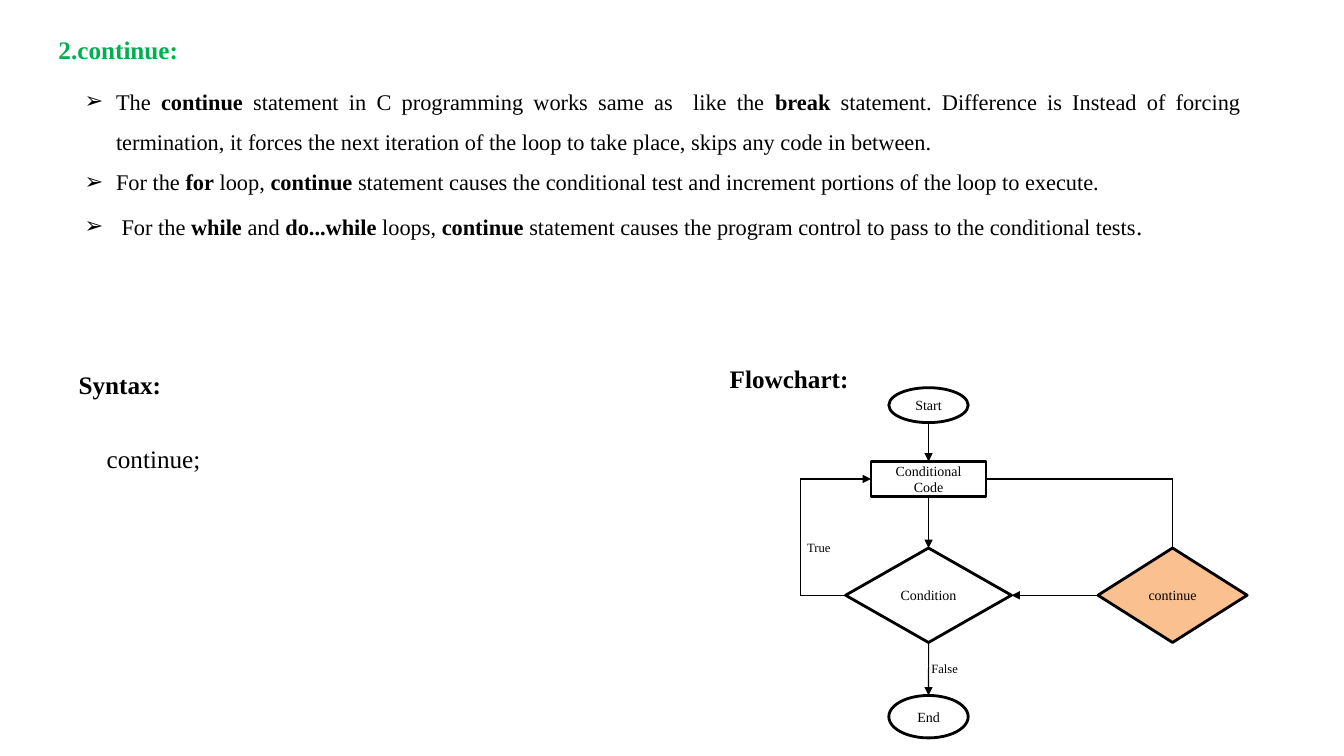
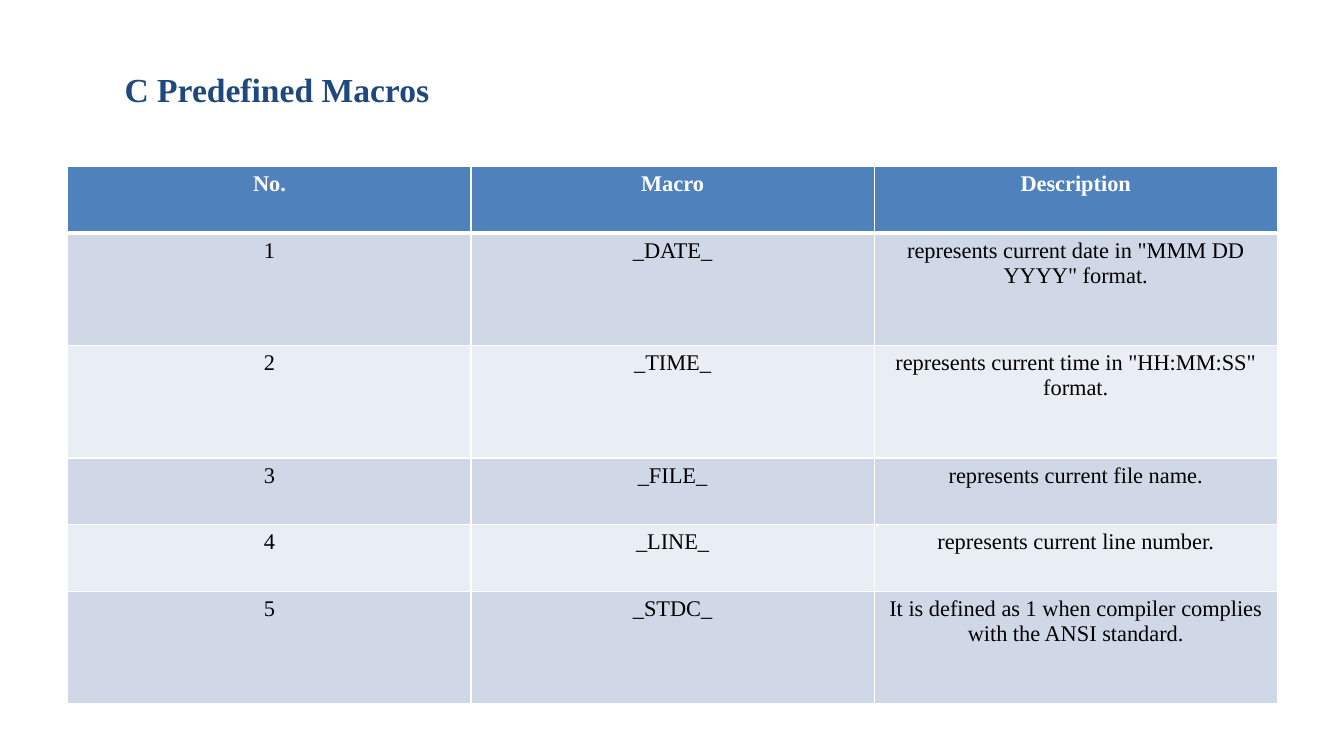
from lxml.etree import SubElement
from pptx import Presentation
from pptx.dml.color import RGBColor
from pptx.enum.shapes import MSO_CONNECTOR, MSO_SHAPE
from pptx.enum.text import MSO_ANCHOR, MSO_AUTO_SIZE, PP_ALIGN
from pptx.oxml.ns import qn
from pptx.shapes.autoshape import Shape
from pptx.util import Cm, Pt

BLACK = RGBColor(0x00, 0x00, 0x00)
WHITE = RGBColor(0xFF, 0xFF, 0xFF)
GREEN = RGBColor(0x00, 0xB0, 0x50)
NAVY = RGBColor(0x1F, 0x49, 0x7D)
ORANGE = RGBColor(0xFA, 0xC0, 0x90)
HEADER_BLUE = RGBColor(0x4F, 0x81, 0xBD)
BANDS = (RGBColor(0xD0, 0xD8, 0xE8), RGBColor(0xE9, 0xED, 0xF4))

TITLE_AND_CONTENT, TITLE_ONLY = 1, 5
TOP, LEFT, BOTTOM, RIGHT = range(4)


class Deck:
    """Holds the presentation, its text style and the current slide."""

    font_name = "Times New Roman"

    def __init__(self):
        self.presentation = Presentation()
        self.presentation.slide_width = Cm(33.87)
        self.presentation.slide_height = Cm(19.05)
        self.slide = None

    def new_slide(self, layout):
        layouts = self.presentation.slide_layouts
        self.slide = self.presentation.slides.add_slide(layouts[layout])

    def add_run(self, paragraph, text, size, color=BLACK, bold=False):
        run = paragraph.add_run()
        run.text = text
        run.font.name = self.font_name
        run.font.size = Pt(size)
        run.font.bold = bold
        run.font.color.rgb = color

    def place(self, shape, left, top, width, height, anchor=MSO_ANCHOR.TOP):
        shape.left, shape.top = Cm(left), Cm(top)
        shape.width, shape.height = Cm(width), Cm(height)
        frame = shape.text_frame
        frame.word_wrap = True
        frame.auto_size = MSO_AUTO_SIZE.NONE
        frame.vertical_anchor = anchor
        return frame

    def title(self, text, box, size, color, align=PP_ALIGN.LEFT,
              anchor=MSO_ANCHOR.TOP):
        frame = self.place(self.slide.shapes.title, *box, anchor)
        paragraph = frame.paragraphs[0]
        paragraph.alignment = align
        self.add_run(paragraph, text, size, color, bold=True)

    def bullets(self, items, box, size, indent=0.79):
        """Each item is a list of runs: (text, bold) or (text, bold, size)."""
        frame = self.place(self.slide.placeholders[1], *box)
        for index, runs in enumerate(items):
            paragraph = frame.add_paragraph() if index else frame.paragraphs[0]
            properties = paragraph._p.get_or_add_pPr()
            properties.set("marL", str(Cm(indent)))
            properties.set("indent", str(-Cm(indent)))
            SubElement(properties, qn("a:buChar"), char="➢")
            paragraph.alignment = PP_ALIGN.JUSTIFY
            paragraph.line_spacing = 1.5
            paragraph.space_before = Pt(0)
            for text, bold, *own_size in runs:
                self.add_run(paragraph, text, *(own_size or [size]), bold=bold)

    def label(self, text, left, top, width, height, size, bold=False):
        box = self.slide.shapes.add_textbox(0, 0, 0, 0)
        frame = self.place(box, left, top, width, height)
        self.add_run(frame.paragraphs[0], text, size, bold=bold)

    def node(self, kind, text, center_x, center_y, width, height, fill=WHITE):
        shape = self.slide.shapes.add_shape(kind, 0, 0, 0, 0)
        frame = self.place(shape, center_x - width / 2, center_y - height / 2,
                           width, height, MSO_ANCHOR.MIDDLE)
        shape.shadow.inherit = False
        shape.fill.solid()
        shape.fill.fore_color.rgb = fill
        shape.line.color.rgb = BLACK
        shape.line.width = Pt(2)
        paragraph = frame.paragraphs[0]
        paragraph.alignment = PP_ALIGN.CENTER
        self.add_run(paragraph, text, 10)
        return shape

    def connect(self, start, end, arrow=False):
        """Each end is a (shape, side) pair or an (x, y) point."""
        joined = [isinstance(first, Shape) for first, _ in (start, end)]
        points = [(0, 0) if is_joined else (Cm(point[0]), Cm(point[1]))
                  for is_joined, point in zip(joined, (start, end))]
        connector = self.slide.shapes.add_connector(
            MSO_CONNECTOR.STRAIGHT, *points[0], *points[1])
        if joined[0]:
            connector.begin_connect(*start)
        if joined[1]:
            connector.end_connect(*end)
        connector.line.color.rgb = BLACK
        connector.line.width = Pt(0.75)
        properties = connector._element.spPr
        if arrow:
            SubElement(properties.find(qn("a:ln")), qn("a:tailEnd"), type="triangle")
        SubElement(properties, qn("a:effectLst"))

    def cell_border(self, cell, side, points):
        line = SubElement(cell._tc.get_or_add_tcPr(), qn(f"a:ln{side}"),
                          w=str(Pt(points)))
        fill = SubElement(line, qn("a:solidFill"))
        SubElement(fill, qn("a:srgbClr"), val=str(WHITE))

    def table(self, rows, left, top, column_width, row_heights, size):
        columns = len(rows[0])
        table = self.slide.shapes.add_table(
            len(rows), columns, Cm(left), Cm(top),
            Cm(column_width * columns), Cm(sum(row_heights))).table
        for column in table.columns:
            column.width = Cm(column_width)
        for row_index, (texts, height) in enumerate(zip(rows, row_heights)):
            table.rows[row_index].height = Cm(height)
            header = row_index == 0
            # The rule under the header is thicker than the rest
            widths = {"L": 1, "R": 1, "T": 3 if row_index == 1 else 1,
                      "B": 3 if header else 1}
            for column_index, text in enumerate(texts):
                cell = table.cell(row_index, column_index)
                for side, points in widths.items():
                    self.cell_border(cell, side, points)
                cell.fill.solid()
                cell.fill.fore_color.rgb = (
                    HEADER_BLUE if header else BANDS[(row_index - 1) % 2])
                paragraph = cell.text_frame.paragraphs[0]
                paragraph.alignment = PP_ALIGN.CENTER
                self.add_run(paragraph, text, size,
                             WHITE if header else BLACK, header)


def continue_slide(deck):
    deck.new_slide(TITLE_AND_CONTENT)
    deck.title("2.continue:", (1.22, 0.74, 3.76, 1.02), 18, GREEN)
    deck.bullets([
        [("The ", False), ("continue", True),
         (" statement in C programming works same as  like the ", False),
         ("break", True),
         (" statement. Difference is Instead of forcing termination, it forces "
          "the next iteration of the loop to take place, skips any code in "
          "between.", False)],
        [("For the ", False), ("for", True), (" loop, ", False),
         ("continue", True),
         (" statement causes the conditional test and increment portions of "
          "the loop to execute.", False)],
        [(" For the ", False), ("while", True), (" and ", False),
         ("do...while", True), (" loops, ", False), ("continue", True),
         (" statement causes the program control to pass to the conditional "
          "tests", False), (".", False, 18)],
    ], (1.88, 1.75, 29.64, 4.5), 16)

    # Section labels
    deck.label("Syntax:", 1.73, 9.17, 3.43, 1.02, 18, bold=True)
    deck.label("continue;", 2.44, 11.05, 2.87, 1.02, 18)
    deck.label("Flowchart:", 18.14, 9.02, 3.89, 1.02, 18, bold=True)

    # Flowchart nodes
    axis, skip_axis, loop_x = 23.4, 29.55, 20.17
    start_y, code_y, condition_y, end_y = 10.21, 12.07, 15, 18.06
    start_height = 0.88
    deck.node(MSO_SHAPE.OVAL, "Start", axis, start_y, 2, start_height)
    code = deck.node(MSO_SHAPE.RECTANGLE, "Conditional Code",
                     axis, code_y, 2.9, 0.88)
    condition = deck.node(MSO_SHAPE.DIAMOND, "Condition",
                          axis, condition_y, 4.18, 2.38)
    skip = deck.node(MSO_SHAPE.DIAMOND, "continue",
                     skip_axis, condition_y, 3.76, 2.38, ORANGE)
    end = deck.node(MSO_SHAPE.OVAL, "End", axis, end_y, 2, 1.07)

    # Main path
    deck.connect((axis, start_y + start_height / 2), (code, TOP), arrow=True)
    deck.connect((code, BOTTOM), (condition, TOP), arrow=True)
    deck.connect((condition, BOTTOM), (end, TOP), arrow=True)

    # Loop back on the left
    deck.connect((loop_x, condition_y), (condition, LEFT))
    deck.connect((loop_x, code_y), (loop_x, condition_y))
    deck.connect((loop_x, code_y), (code, LEFT), arrow=True)

    # Branch through continue on the right
    deck.connect((code, RIGHT), (skip_axis, code_y))
    deck.connect((skip_axis, code_y), (skip, TOP))
    deck.connect((skip, LEFT), (condition, RIGHT), arrow=True)

    deck.label("True", 20.09, 13.49, 1.27, 0.64, 9)
    deck.label("False", 23.22, 16.54, 1.45, 0.64, 9)


def macros_slide(deck):
    deck.new_slide(TITLE_ONLY)
    deck.title("C Predefined Macros", (0.86, 1.24, 12.24, 2.03), 24, NAVY,
               PP_ALIGN.CENTER, MSO_ANCHOR.MIDDLE)
    short, tall = 1.68, 2.83
    deck.table([
        ("No.", "Macro", "Description"),
        ("1", "_DATE_", 'represents current date in "MMM DD YYYY" format.'),
        ("2", "_TIME_", 'represents current time in "HH:MM:SS" format.'),
        ("3", "_FILE_", "represents current file name."),
        ("4", "_LINE_", "represents current line number."),
        ("5", "_STDC_",
         "It is defined as 1 when compiler complies with the ANSI standard."),
    ], 1.71, 4.2, 10.16, (short, tall, tall, short, short, tall), 16)


def main():
    deck = Deck()
    continue_slide(deck)
    macros_slide(deck)
    deck.presentation.save("out.pptx")


if __name__ == "__main__":
    main()
